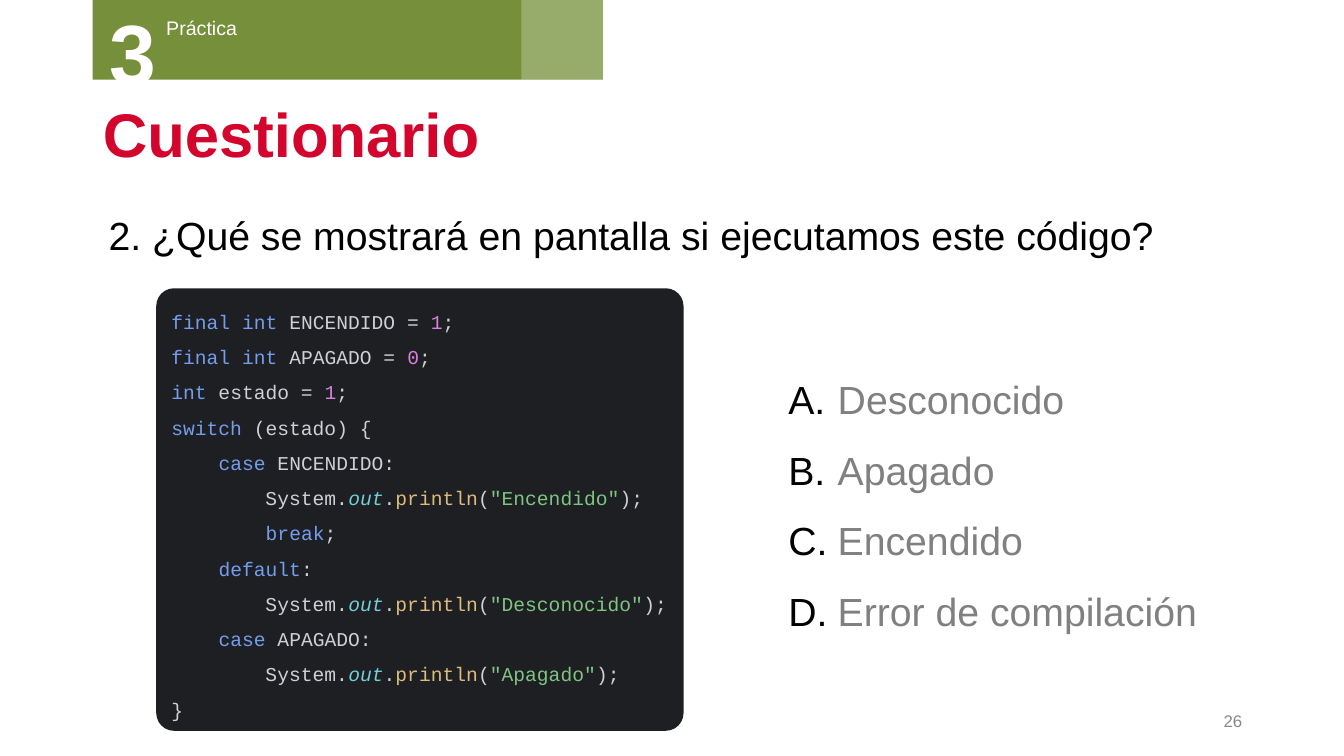
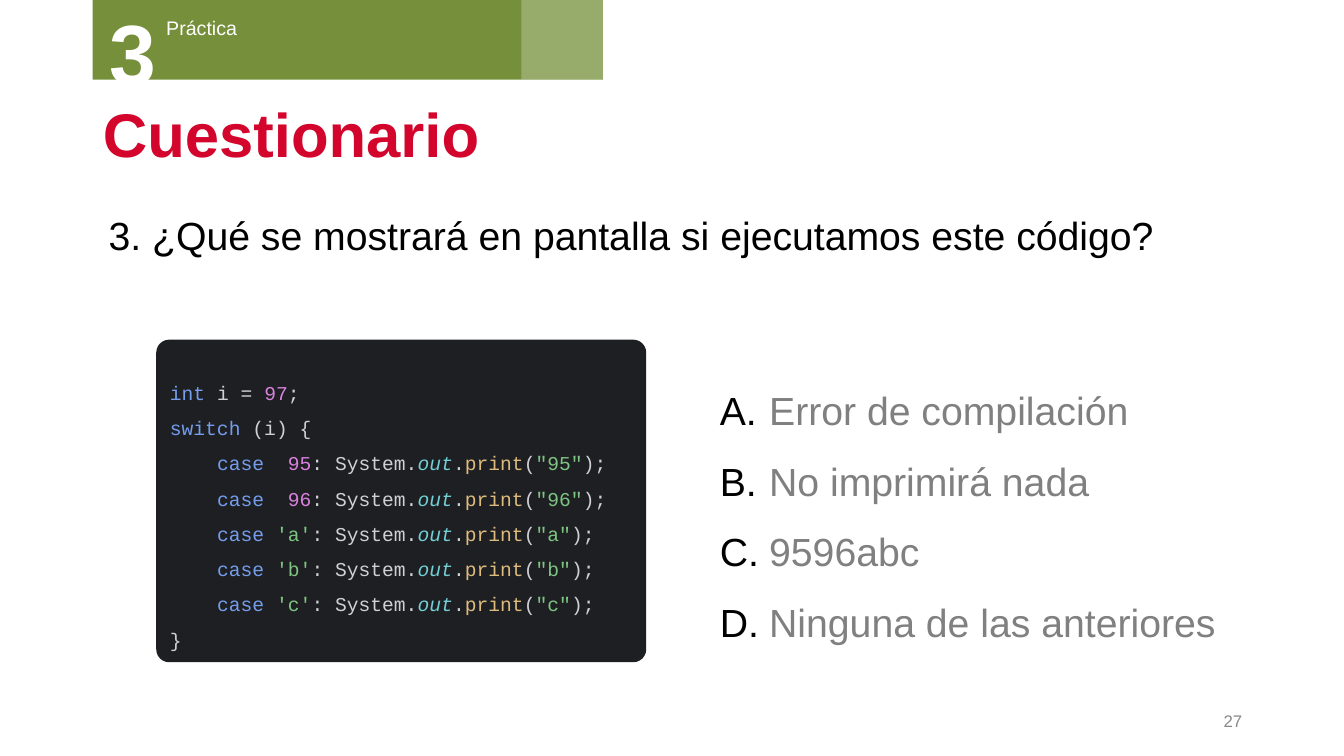
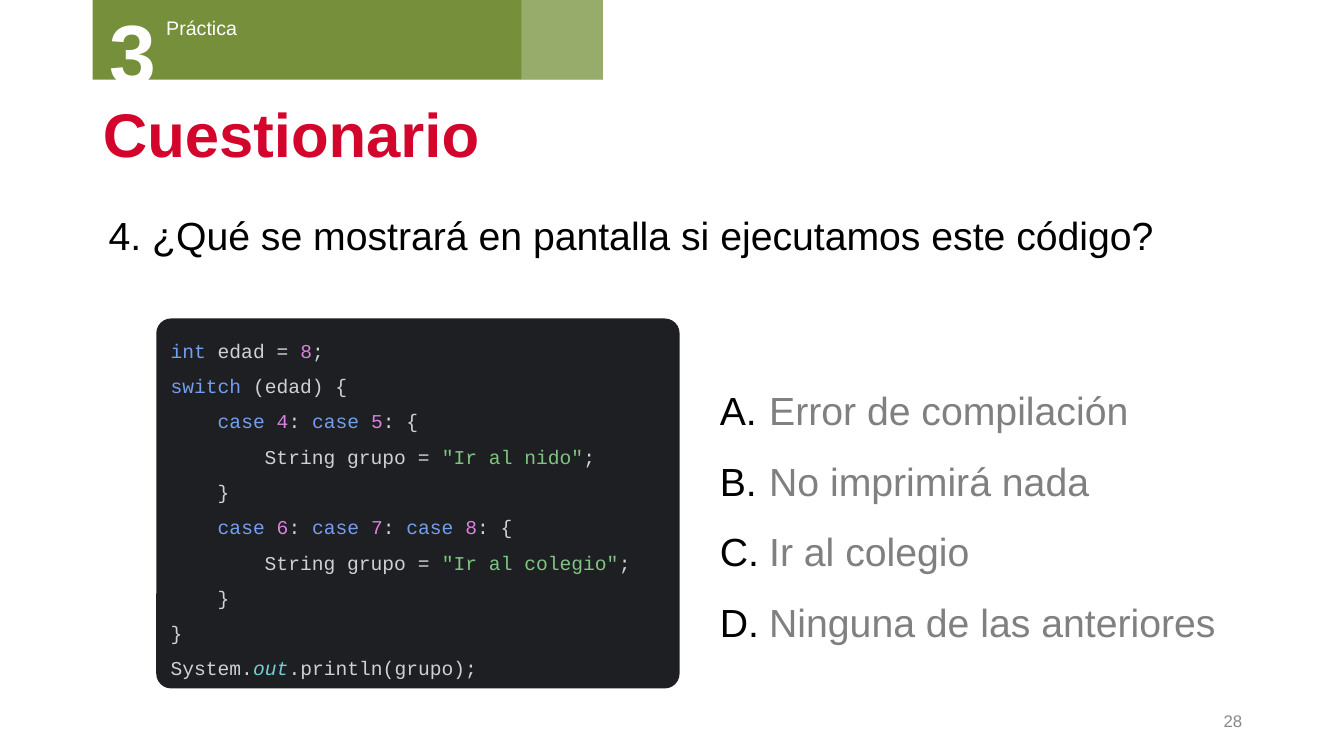
from itertools import groupby

from lxml.etree import SubElement
from pptx import Presentation
from pptx.dml.color import RGBColor
from pptx.enum.shapes import MSO_SHAPE as Shape
from pptx.enum.text import MSO_ANCHOR as Anchor, PP_ALIGN as Align
from pptx.oxml.ns import qn
from pptx.util import Inches, Pt

WHITE = RGBColor(0xFF, 0xFF, 0xFF)
BLACK = RGBColor(0x00, 0x00, 0x00)
RED = RGBColor(0xD3, 0x05, 0x2C)
GREEN = RGBColor(0x75, 0x8F, 0x3A)
ANSWER_GRAY = RGBColor(0x80, 0x80, 0x80)
NUMBER_GRAY = RGBColor(0x88, 0x88, 0x88)

CODE_BACK = RGBColor(0x1E, 0x1F, 0x22)
CODE_PLAIN = RGBColor(0xCE, 0xD0, 0xD6)
CODE_KEYWORD = RGBColor(0x74, 0x9D, 0xED)
CODE_NUMBER = RGBColor(0xD9, 0x81, 0xDE)
CODE_STRING = RGBColor(0x7E, 0xC4, 0x82)
CODE_FIELD = RGBColor(0x72, 0xCF, 0xD6)
CODE_METHOD = RGBColor(0xDE, 0xBC, 0x7E)

KEYWORDS = {"final", "int", "switch", "case", "break", "default"}
QUESTION = "¿Qué se mostrará en pantalla si ejecutamos este código?"

QUIZ = [
    {
        "page": 26,
        "number": 2,
        "answers": ["Desconocido", "Apagado", "Encendido", "Error de compilación"],
        "answers_at": (7.72, 3.44, 4.31, 2.84),
        "code_at": (1.55, 2.86, 5.23, 4.39),
        "code": """final int ENCENDIDO = 1;
final int APAGADO = 0;
int estado = 1;
switch (estado) {
    case ENCENDIDO:
        System.out.println("Encendido");
        break;
    default:
        System.out.println("Desconocido");
    case APAGADO:
        System.out.println("Apagado");
}""",
    },
    {
        "page": 27,
        "number": 3,
        "answers": ["Error de compilación", "No imprimirá nada", "9596abc",
                    "Ninguna de las anteriores"],
        "answers_at": (7.04, 3.55, 5.19, 2.84),
        "code_at": (1.55, 3.37, 4.86, 3.2),
        "code_drop": 0.18,
        "code": """int i = 97;
switch (i) {
    case  95: System.out.print("95");
    case  96: System.out.print("96");
    case 'a': System.out.print("a");
    case 'b': System.out.print("b");
    case 'c': System.out.print("c");
}""",
    },
    {
        "page": 28,
        "number": 4,
        "answers": ["Error de compilación", "No imprimirá nada", "Ir al colegio",
                    "Ninguna de las anteriores"],
        "answers_at": (7.04, 3.55, 5.19, 2.84),
        "code_at": (1.55, 3.16, 5.19, 3.67),
        "code": """int edad = 8;
switch (edad) {
    case 4: case 5: {
        String grupo = "Ir al nido";
    }
    case 6: case 7: case 8: {
        String grupo = "Ir al colegio";
    }
}
System.out.println(grupo);""",
    },
]


def split_tokens(line):
    """Yield each quoted string, word or single symbol with the text after it."""
    start = 0
    while start < len(line):
        end = start + 1
        if line[start] in "\"'":
            end = line.index(line[start], end) + 1
        elif line[start].isalnum():
            while end < len(line) and line[end].isalnum():
                end += 1
        yield line[start:end], line[end:]
        start = end


def token_color(token, rest):
    if token[0] in "\"'":
        return CODE_STRING
    if token.isdigit():
        return CODE_NUMBER
    if token in KEYWORDS:
        return CODE_KEYWORD
    if token == "out":
        return CODE_FIELD
    if token.isalpha() and rest.startswith('("'):
        return CODE_METHOD
    return CODE_PLAIN


def highlight(line):
    """Yield (text, colour) for each stretch of one colour."""
    tokens = [(token, token_color(token, rest)) for token, rest in split_tokens(line)]
    for color, group in groupby(tokens, key=lambda pair: pair[1]):
        yield "".join(token for token, _ in group), color


class QuizDeck:
    font = "Arial"
    code_font = "Courier New"

    def __init__(self):
        self.deck = Presentation()
        self.deck.slide_width = Inches(13.33)
        self.deck.slide_height = Inches(7.5)
        self.page = None

    def new_page(self, title):
        self.page = self.deck.slides.add_slide(self.deck.slide_layouts[5])
        box = self.page.shapes.title
        box.left, box.top, box.width, box.height = map(Inches, (0.92, 0.93, 11.5, 0.86))
        frame = box.text_frame
        frame.word_wrap = True
        frame.vertical_anchor = Anchor.MIDDLE
        para = frame.paragraphs[0]
        para.alignment = Align.LEFT
        para.line_spacing = 0.9
        self.span(para, title, 44, RED, bold=True)

    def span(self, para, text, size, color, bold=False, italic=False, font=None):
        span = para.add_run()
        span.text = text
        span.font.name = font or self.font
        span.font.size = Pt(size)
        span.font.color.rgb = color
        span.font.bold = bold
        span.font.italic = italic

    def paragraphs(self, frame, count):
        """Return the first paragraph and as many new ones as needed."""
        return [frame.paragraphs[0]] + [frame.add_paragraph() for _ in range(count - 1)]

    def text_frame(self, at):
        frame = self.page.shapes.add_textbox(*map(Inches, at)).text_frame
        frame.word_wrap = True
        return frame

    def label(self, at, text, size, color, bold=False, align=Align.LEFT, anchor=Anchor.TOP):
        frame = self.text_frame(at)
        frame.vertical_anchor = anchor
        frame.paragraphs[0].alignment = align
        self.span(frame.paragraphs[0], text, size, color, bold)

    def block(self, at, color, kind=Shape.RECTANGLE, opacity=None):
        block = self.page.shapes.add_shape(kind, *map(Inches, at))
        block.shadow.inherit = False
        block.fill.solid()
        block.fill.fore_color.rgb = color
        block.line.fill.background()
        if opacity is not None:
            fill_color = block.element.spPr.find(f"{qn('a:solidFill')}/{qn('a:srgbClr')}")
            SubElement(fill_color, qn("a:alpha"), val=str(opacity * 1000))
        return block

    def ribbon(self, number, section):
        self.block((0.92, -0.01, 5.06, 0.8), GREEN)
        self.label((1.55, 0.11, 2.75, 0.34), section, 14, WHITE)
        self.label((0.99, -0.04, 1.12, 1.11), number, 60, WHITE, bold=True)
        self.block((5.17, -0.01, 0.81, 0.8), WHITE, opacity=25)

    def page_number(self, number):
        self.label((9.42, 6.95, 3, 0.4), str(number), 12, NUMBER_GRAY,
                   align=Align.RIGHT, anchor=Anchor.MIDDLE)

    def question(self, number, text):
        self.label((0.98, 2.05, 11.44, 0.6), f"{number}. {text}", 28, BLACK)

    def answers(self, at, answers):
        frame = self.text_frame(at)
        for para, answer in zip(self.paragraphs(frame, len(answers)), answers):
            para.line_spacing = 1.5
            props = para._p.get_or_add_pPr()
            props.set("marL", str(Inches(0.49)))
            props.set("indent", str(-Inches(0.49)))
            bullet_color = SubElement(props, qn("a:buClr"))
            SubElement(bullet_color, qn("a:srgbClr"), val=str(BLACK))
            SubElement(props, qn("a:buFont"), typeface=self.font)
            SubElement(props, qn("a:buAutoNum"), type="alphaUcPeriod")
            self.span(para, answer, 28, ANSWER_GRAY)

    def code(self, at, source, drop=0):
        """Draw a dark panel of coloured code, moved down inside it by drop inches."""
        panel = self.block(at, CODE_BACK, Shape.ROUNDED_RECTANGLE)
        panel.adjustments[0] = 0.04
        frame = panel.text_frame
        frame.word_wrap = True
        frame.margin_right = 0
        frame.margin_top = Inches(0.05 + drop)
        frame.vertical_anchor = Anchor.MIDDLE
        lines = source.splitlines()
        for para, line in zip(self.paragraphs(frame, len(lines)), lines):
            para.alignment = Align.LEFT
            para.line_spacing = 1.5
            for text, color in highlight(line):
                self.span(para, text, 14, color, italic=color == CODE_FIELD,
                          font=self.code_font)

    def save(self):
        self.deck.save("out.pptx")


def main():
    quiz_deck = QuizDeck()
    for quiz in QUIZ:
        quiz_deck.new_page("Cuestionario")
        quiz_deck.page_number(quiz["page"])
        quiz_deck.question(quiz["number"], QUESTION)
        quiz_deck.ribbon("3", "Práctica")
        quiz_deck.answers(quiz["answers_at"], quiz["answers"])
        quiz_deck.code(quiz["code_at"], quiz["code"], quiz.get("code_drop", 0))
    quiz_deck.save()


if __name__ == "__main__":
    main()
